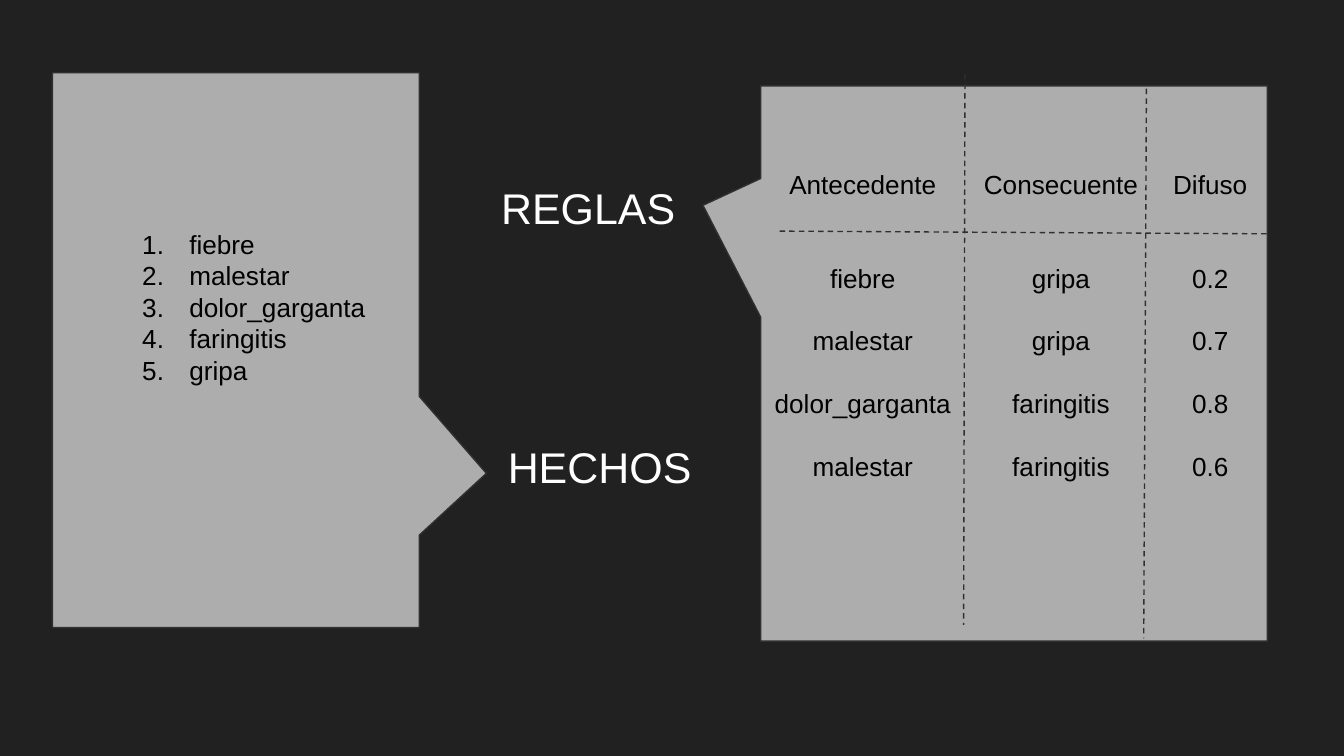
import pptx
import pptx.util
import pptx.dml.color
import pptx.enum.dml
import pptx.enum.shapes
import pptx.enum.text
import pptx.oxml
import pptx.oxml.ns
import lxml.etree

Inches = pptx.util.Inches
Pt = pptx.util.Pt
RGB = pptx.dml.color.RGBColor.from_string
hues = {"back": "212121", "panel": "ADADAD", "edge": "303030",
        "title": "FFFFFF", "text": "000000"}

deck = pptx.Presentation()
deck.slide_width = Inches(10)
deck.slide_height = Inches(5.625)
slide = deck.slides.add_slide(deck.slide_layouts[6])
slide.background.fill.solid()
slide.background.fill.fore_color.rgb = RGB(hues["back"])


def add_box(left, top, width, height):
    box = slide.shapes.add_textbox(
        Inches(left), Inches(top), Inches(width), Inches(height))
    frame = box.text_frame
    frame.word_wrap = True
    frame.margin_left = frame.margin_right = Inches(0.1)
    frame.margin_top = frame.margin_bottom = Inches(0.1)
    return frame


def style(para, size, hue):
    para.font.name = "Arial"
    para.font.size = Pt(size)
    para.font.color.rgb = RGB(hues[hue])


panels = [
    (-0.31, 1.24, 2.73, 270, (-0.222, 0.683, 0)),
    (5.48, 0.82, 3.77, 90, (-0.285, 0.614, 0)),
]
for left, top, height, turn, points in panels:
    panel = slide.shapes.add_shape(
        pptx.enum.shapes.MSO_SHAPE.ROUNDED_RECTANGULAR_CALLOUT,
        Inches(left), Inches(top), Inches(4.13), Inches(height))
    panel.rotation = turn
    for i, value in enumerate(points):
        panel.adjustments[i] = value
    panel.shadow.inherit = False
    panel.fill.solid()
    panel.fill.fore_color.rgb = RGB(hues["panel"])
    panel.line.color.rgb = RGB(hues["edge"])
    panel.line.width = Pt(0.75)

for word, left, top in [("HECHOS", 3.68, 3.18), ("REGLAS", 3.63, 1.25)]:
    para = add_box(left, top, 1.76, 0.59).paragraphs[0]
    para.text = word
    style(para, 23, "title")

facts = ["fiebre", "malestar", "dolor_garganta", "faringitis", "gripa"]
frame = add_box(0.81, 1.6, 2.42, 1.38)
frame.text = "\n".join(facts)
for para in frame.paragraphs:
    style(para, 14, "text")
    para.line_spacing = Pt(16.8)
    props = para._p.get_or_add_pPr()
    props.set("marL", str(Inches(0.5)))
    props.set("indent", str(Inches(-0.35)))
    mark = lxml.etree.Element(pptx.oxml.ns.qn("a:buAutoNum"), type="arabicPeriod")
    props.find(pptx.oxml.ns.qn("a:defRPr")).addprevious(mark)

rules = [
    (5.44, 1.96, 2.79,
     ["Antecedente", "fiebre", "malestar", "dolor_garganta", "malestar"]),
    (7.11, 1.57, 2.56,
     ["Consecuente", "gripa", "gripa", "faringitis", "faringitis"]),
    (8.22, 1.57, 3.03, ["Difuso", "0.2", "0.7", "0.8", "0.6"]),
]
for left, width, height, words in rules:
    frame = add_box(left, 1.15, width, height)
    frame.text = "\n".join(words)
    for i, para in enumerate(frame.paragraphs):
        style(para, 14, "text")
        para.alignment = pptx.enum.text.PP_ALIGN.CENTER
        para.line_spacing = Pt(16.8)
        if i:
            para.space_before = Pt(33.6 if i == 1 else 16.8)

lines = [
    (7.18, 0.55, 7.17, 4.65),
    (5.8, 1.72, 9.43, 1.74),
    (8.53, 0.66, 8.51, 4.75),
]
for ends in lines:
    line = slide.shapes.add_connector(
        pptx.enum.shapes.MSO_CONNECTOR.STRAIGHT, *map(Inches, ends))
    line.line.color.rgb = RGB(hues["edge"])
    line.line.width = Pt(0.75)
    line.line.dash_style = pptx.enum.dml.MSO_LINE.DASH
    lxml.etree.SubElement(line._element.spPr, pptx.oxml.ns.qn("a:effectLst"))

deck.save("out.pptx")
